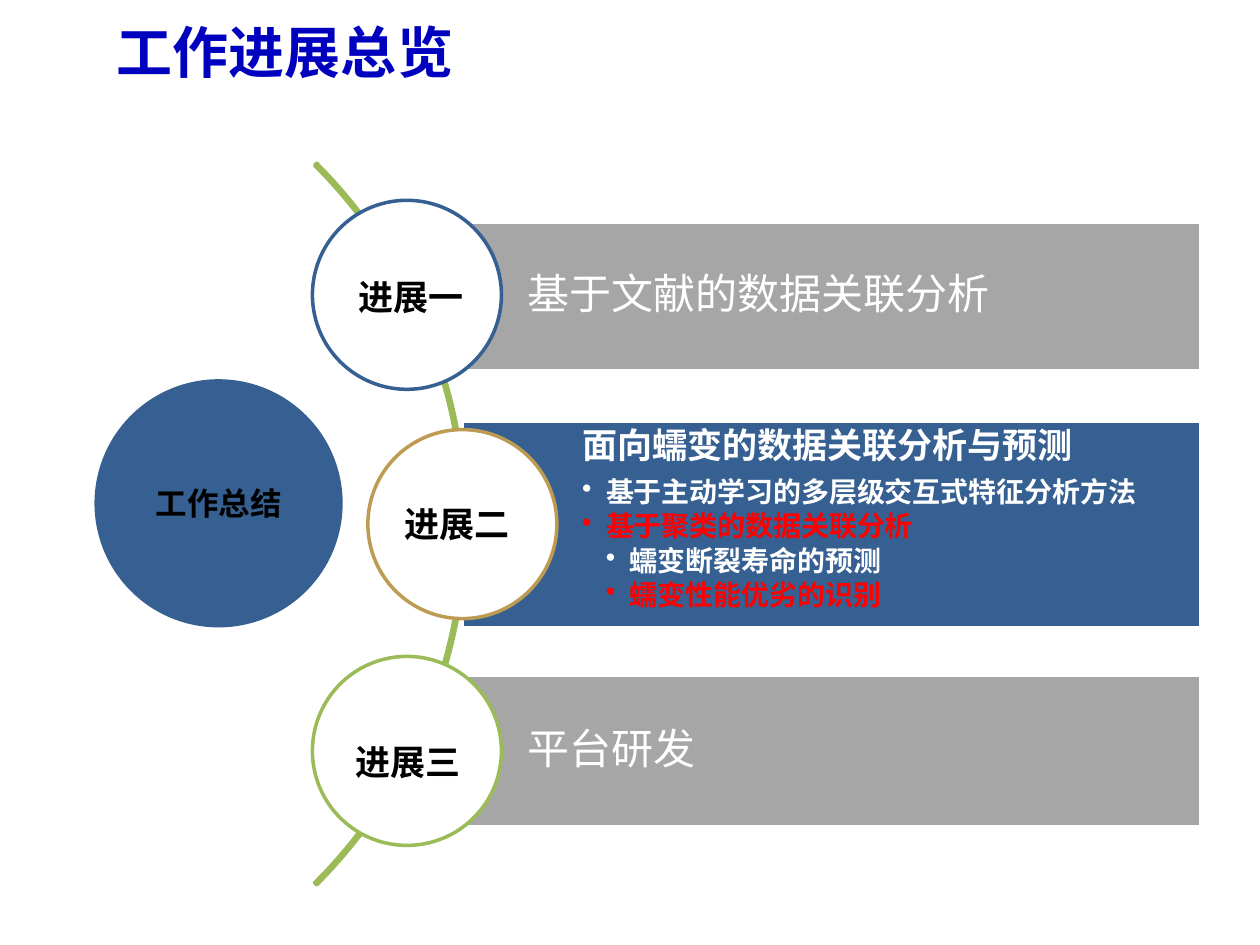
from dataclasses import dataclass

from lxml import etree
from pptx import Presentation
from pptx.dml.color import RGBColor
from pptx.enum.shapes import MSO_SHAPE
from pptx.enum.text import MSO_ANCHOR, MSO_AUTO_SIZE, PP_ALIGN
from pptx.oxml.ns import qn
from pptx.util import Inches, Pt

ELLIPSE, RECTANGLE, ARC = MSO_SHAPE.OVAL, MSO_SHAPE.RECTANGLE, MSO_SHAPE.BLOCK_ARC
TOP, MIDDLE = MSO_ANCHOR.TOP, MSO_ANCHOR.MIDDLE
LEFT, CENTER = PP_ALIGN.LEFT, PP_ALIGN.CENTER
GROW = MSO_AUTO_SIZE.SHAPE_TO_FIT_TEXT

TITLE_BLUE = RGBColor(0x00, 0x00, 0xBF)
BLUE = RGBColor(0x37, 0x60, 0x92)
GREEN = RGBColor(0x9B, 0xBB, 0x59)
GOLD = RGBColor(0xBD, 0x9B, 0x53)
GRAY = RGBColor(0xA6, 0xA6, 0xA6)
WHITE = RGBColor(0xFF, 0xFF, 0xFF)
BLACK = RGBColor(0x00, 0x00, 0x00)
RED = RGBColor(0xFF, 0x00, 0x00)

BODY_FONT, TITLE_FONT = "Calibri", "Noto Sans CJK SC"
BAR_RIGHT = 9.53
CIRCLE_SIZE = 1.5
BULLET_INDENT = 0.19


@dataclass
class Line:
    text: str
    size: int
    color: RGBColor = WHITE
    bold: bool = True
    level: int = 0
    spacing: float | None = 0.9
    after: float = 0
    align: PP_ALIGN = LEFT
    font: str = BODY_FONT


@dataclass
class Step:
    label: str
    label_box: tuple[float, float, float, float]
    circle_left: float
    circle_top: float
    ring: RGBColor
    bar_left: float
    bar_top: float
    bar_height: float
    fill: RGBColor
    anchor: MSO_ANCHOR
    padding: float
    lines: list[Line]


def topic(text: str) -> Line:
    return Line(text, 24, bold=False, after=8.4)


def bullet(text: str, level: int, color: RGBColor) -> Line:
    return Line(text, 16, color, level=level, after=2.4)


def plain(text: str, size: int, color: RGBColor, **options) -> Line:
    return Line(text, size, color, spacing=None, **options)


STEPS = [
    Step("进展一", (2.75, 2.14, 1.11, 0.44), 2.48, 1.59, BLUE,
         3.24, 1.76, 1.18, GRAY, MIDDLE, 0.07, [topic("基于文献的数据关联分析")]),
    Step("进展二", (3.11, 3.94, 1.06, 0.44), 2.92, 3.41, GOLD,
         3.67, 3.34, 1.64, BLUE, TOP, 0.06, [
             Line("面向蠕变的数据关联分析与预测", 20, after=7),
             bullet("基于主动学习的多层级交互式特征分析方法", 1, WHITE),
             bullet("基于聚类的数据关联分析", 1, RED),
             bullet("蠕变断裂寿命的预测", 2, WHITE),
             bullet("蠕变性能优劣的识别", 2, RED)]),
    Step("进展三", (2.72, 5.83, 1.18, 0.44), 2.48, 5.21, GREEN,
         3.24, 5.36, 1.2, GRAY, MIDDLE, 0.07, [topic("平台研发")]),
]


def add_bullet(paragraph, level: int) -> None:
    properties = paragraph._p.get_or_add_pPr()
    properties.set("marL", str(Inches(BULLET_INDENT * level)))
    properties.set("indent", str(-Inches(BULLET_INDENT)))
    etree.SubElement(properties, qn("a:buChar")).set("char", "•")


def write(box, lines: list[Line], **frame_format) -> None:
    frame = box.text_frame
    for name, value in {"word_wrap": True, **frame_format}.items():
        setattr(frame, name, value)
    for index, line in enumerate(lines):
        paragraph = frame.paragraphs[0] if index == 0 else frame.add_paragraph()
        if line.level:
            paragraph.level = line.level
            add_bullet(paragraph, line.level)
        layout = {"alignment": line.align, "line_spacing": line.spacing,
                  "space_before": Pt(0), "space_after": Pt(line.after)}
        for name, value in layout.items():
            setattr(paragraph, name, value)
        span = paragraph.add_run()
        span.text = line.text
        style = {"size": Pt(line.size), "bold": line.bold, "name": line.font}
        for name, value in style.items():
            setattr(span.font, name, value)
        span.font.color.rgb = line.color
        # Chinese glyphs take the East Asian typeface
        east_asian = etree.SubElement(span._r.get_or_add_rPr(), qn("a:ea"))
        east_asian.set("typeface", line.font)


def add_shape(page, kind: MSO_SHAPE, left: float, top: float, width: float,
              height: float, fill: RGBColor | None, outline: RGBColor | None):
    shape = page.shapes.add_shape(
        kind, Inches(left), Inches(top), Inches(width), Inches(height))
    shape.shadow.inherit = False
    if fill is None:
        shape.fill.background()
    else:
        shape.fill.solid()
        shape.fill.fore_color.rgb = fill
    if outline is None:
        shape.line.fill.background()
    else:
        shape.line.color.rgb = outline
        shape.line.width = Pt(2)
    return shape


def add_text(page, place: tuple[float, float, float, float], line: Line,
             **frame_format) -> None:
    box = page.shapes.add_textbox(*(Inches(length) for length in place))
    write(box, [line], **frame_format)


def add_step(page, step: Step) -> None:
    bar = add_shape(page, RECTANGLE, step.bar_left, step.bar_top,
                    BAR_RIGHT - step.bar_left, step.bar_height, step.fill, WHITE)
    padding = Inches(step.padding)
    write(bar, step.lines, vertical_anchor=step.anchor, margin_left=Inches(0.95),
          margin_top=padding, margin_right=padding, margin_bottom=padding)
    add_shape(page, ELLIPSE, step.circle_left, step.circle_top,
              CIRCLE_SIZE, CIRCLE_SIZE, WHITE, step.ring)
    add_text(page, step.label_box, plain(step.label, 20, BLACK), auto_size=GROW)


def main() -> None:
    deck = Presentation()
    deck.slide_width, deck.slide_height = Inches(10), Inches(7.5)
    page = deck.slides.add_slide(deck.slide_layouts[6])

    # Title
    add_text(page, (0.83, -0.03, 9, 0.87),
             plain("工作进展总览", 32, TITLE_BLUE, font=TITLE_FONT),
             vertical_anchor=MIDDLE)

    # Summary circle
    summary = add_shape(page, ELLIPSE, 0.75, 3.01, 1.97, 1.97, BLUE, None)
    write(summary, [plain("工作总结", 18, BLACK, align=CENTER)],
          vertical_anchor=MIDDLE)

    # Arc linking the steps, from 315 to 45 degrees
    arc = add_shape(page, ARC, -4.4, 0.11, 8.1, 8.1, None, GREEN)
    for index, value in enumerate((189, 27, 0.003)):
        arc.adjustments[index] = value

    # Progress steps
    for step in STEPS:
        add_step(page, step)

    deck.save("out.pptx")


if __name__ == "__main__":
    main()
